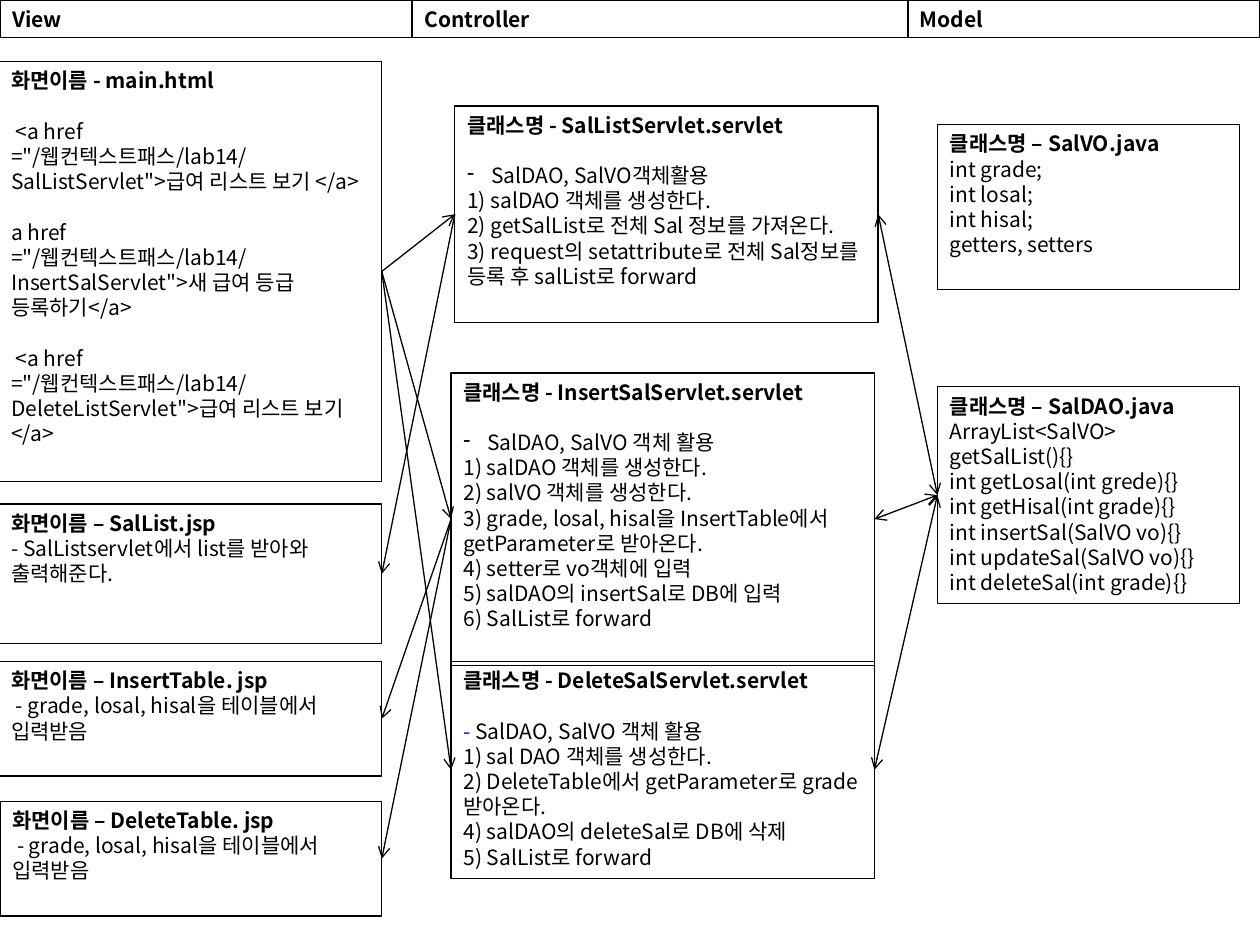
"""Build the MVC class diagram slide for the salary grade lab."""
import pptx
import pptx.chart.data
import pptx.dml.color
import pptx.enum.shapes
import pptx.enum.text
import pptx.oxml
import pptx.oxml.ns
import pptx.util
from pptx.util import Inches, Pt

COLORS = {"ink": "000000", "accent": "0000FF"}
FONT = "Noto Sans CJK KR"
LINE_HEIGHT = 14.4
GAP, BULLET, BLUE_DASH = "gap", "bullet", "blue dash"
LEFT, RIGHT = 1, 3

HEADERS = [("View", 0, 3.27), ("Controller", 3.27, 3.94), ("Model", 7.2, 2.8)]

BOXES = {
    "list_servlet": ((3.61, 0.84, 3.36, 1.72), "클래스명 - SalListServlet.servlet", [
        ("SalDAO, SalVO객체활용", GAP, BULLET),
        ("1) salDAO 객체를 생성한다.",),
        ("2) getSalList로 전체 Sal 정보를 가져온다.",),
        ("3) request의 setattribute로 전체 Sal정보를 등록 후 salList로 forward",)]),
    "vo": ((7.44, 0.99, 2.4, 1.31), "클래스명 – SalVO.java", [
        ("int grade;",), ("int losal;",), ("int hisal;",), ("getters, setters",)]),
    "main": ((-0.01, 0.49, 3.04, 3.33), "화면이름 - main.html", [
        (" <a href", GAP),
        ("=\"/웹컨텍스트패스/lab14/SalListServlet\">급여 리스트 보기 </a>",),
        ("a href", GAP),
        ("=\"/웹컨텍스트패스/lab14/InsertSalServlet\">새 급여 등급 등록하기</a>",),
        (" <a href", GAP),
        ("=\"/웹컨텍스트패스/lab14/DeleteListServlet\">급여 리스트 보기</a>",)]),
    "insert_servlet": ((3.58, 2.96, 3.36, 2.32), "클래스명 - InsertSalServlet.servlet", [
        ("SalDAO, SalVO 객체 활용", GAP, BULLET),
        ("1) salDAO 객체를 생성한다.",),
        ("2) salVO 객체를 생성한다.",),
        ("3) grade, losal, hisal을 InsertTable에서 getParameter로 받아온다.",),
        ("4) setter로 vo객체에 입력",),
        ("5) salDAO의 insertSal로 DB에 입력",),
        ("6) SalList로 forward",)]),
    "dao": ((7.44, 3.07, 2.4, 1.72), "클래스명 – SalDAO.java", [
        ("ArrayList<SalVO> getSalList(){}",),
        ("int getLosal(int grede){}",),
        ("int getHisal(int grade){}",),
        ("int insertSal(SalVO vo){}",),
        ("int updateSal(SalVO vo){}",),
        ("int deleteSal(int grade){}",)]),
    "list_page": ((-0.01, 4, 3.04, 1.11), "화면이름 – SalList.jsp", [
        ("- SalListservlet에서 list를 받아와 출력해준다.",)]),
    "insert_page": ((-0.01, 5.25, 3.04, 0.91), "화면이름 – InsertTable. jsp", [
        (" - grade, losal, hisal을 테이블에서 입력받음",)]),
    "delete_servlet": ((3.58, 5.25, 3.36, 1.72), "클래스명 - DeleteSalServlet.servlet", [
        ("SalDAO, SalVO 객체 활용", GAP, BLUE_DASH),
        ("1) sal DAO 객체를 생성한다.",),
        ("2) DeleteTable에서 getParameter로 grade받아온다.",),
        ("4) salDAO의 deleteSal로 DB에 삭제",),
        ("5) SalList로 forward",)]),
    "delete_page": ((0, 6.36, 3.03, 0.91), "화면이름 – DeleteTable. jsp", [
        (" - grade, losal, hisal을 테이블에서 입력받음",)]),
}

ARROWS = [
    ("list_servlet", RIGHT, "dao", LEFT, True),
    ("insert_servlet", RIGHT, "dao", LEFT, True),
    ("delete_servlet", RIGHT, "dao", LEFT, True),
    ("main", RIGHT, "list_servlet", LEFT, False),
    ("main", RIGHT, "insert_servlet", LEFT, False),
    ("main", RIGHT, "delete_servlet", LEFT, False),
    ("list_servlet", LEFT, "list_page", RIGHT, False),
    ("insert_servlet", LEFT, "insert_page", RIGHT, False),
    ("insert_servlet", LEFT, "delete_page", RIGHT, False),
]


def rgb(name):
    """Return the named colour."""
    return pptx.dml.color.RGBColor.from_string(COLORS[name])


def add_child(parent, tag, **attributes):
    """Append a DrawingML element with the given attributes."""
    child = pptx.oxml.parse_xml(f"<a:{tag} {pptx.oxml.ns.nsdecls('a')}/>")
    for key, value in attributes.items():
        child.set(key, value)
    parent.append(child)


def add_run(paragraph, text, bold=False, color="ink"):
    """Add one formatted run."""
    run = paragraph.add_run()
    run.text = text
    run.font.size = Pt(12)
    run.font.bold = bold
    run.font.color.rgb = rgb(color)
    run.font.name = FONT
    add_child(run.font._element, "ea", typeface=FONT)


def format_paragraph(paragraph):
    """Left-align a paragraph on the fixed line height."""
    paragraph.alignment = pptx.enum.text.PP_ALIGN.LEFT
    paragraph.line_spacing = Pt(LINE_HEIGHT)


def add_box(slide, area, heading, lines=()):
    """Add an outlined box with a bold heading and body lines."""
    box = slide.shapes.add_shape(
        pptx.enum.shapes.MSO_SHAPE.RECTANGLE, *(Inches(value) for value in area))
    box.shadow.inherit = False
    box.fill.background()
    box.line.color.rgb = rgb("ink")
    box.line.width = Pt(0.75)
    frame = box.text_frame
    frame.word_wrap = True
    frame.vertical_anchor = pptx.enum.text.MSO_ANCHOR.TOP
    format_paragraph(frame.paragraphs[0])
    add_run(frame.paragraphs[0], heading, bold=True)
    for text, *marks in lines:
        paragraph = frame.add_paragraph()
        format_paragraph(paragraph)
        if GAP in marks:
            paragraph.space_before = Pt(LINE_HEIGHT)
        if BULLET in marks:
            properties = paragraph._p.get_or_add_pPr()
            properties.set("marL", str(Inches(0.19)))
            properties.set("indent", str(-Inches(0.19)))
            add_child(properties, "buChar", char="-")
        if BLUE_DASH in marks:
            add_run(paragraph, "- ", color="accent")
        add_run(paragraph, text)
    return box


def add_arrow(slide, start, start_side, end, end_side, both_ways):
    """Join two boxes with an open-headed arrow."""
    arrow = slide.shapes.add_connector(
        pptx.enum.shapes.MSO_CONNECTOR.STRAIGHT, 0, 0, 0, 0)
    arrow.begin_connect(start, start_side)
    arrow.end_connect(end, end_side)
    arrow.line.color.rgb = rgb("ink")
    arrow.line.width = Pt(0.75)
    outline = arrow.line._get_or_add_ln()
    if both_ways:
        add_child(outline, "headEnd", type="arrow")
    add_child(outline, "tailEnd", type="arrow")
    add_child(arrow._element.spPr, "effectLst")


deck = pptx.Presentation()
deck.slide_width, deck.slide_height = Inches(10), Inches(7.5)
diagram = deck.slides.add_slide(deck.slide_layouts[6])
for heading, left, width in HEADERS:
    add_box(diagram, (left, 0, width, 0.3), heading)
boxes = {key: add_box(diagram, *content) for key, content in BOXES.items()}
for start, start_side, end, end_side, both_ways in ARROWS:
    add_arrow(diagram, boxes[start], start_side, boxes[end], end_side, both_ways)
deck.save("out.pptx")
